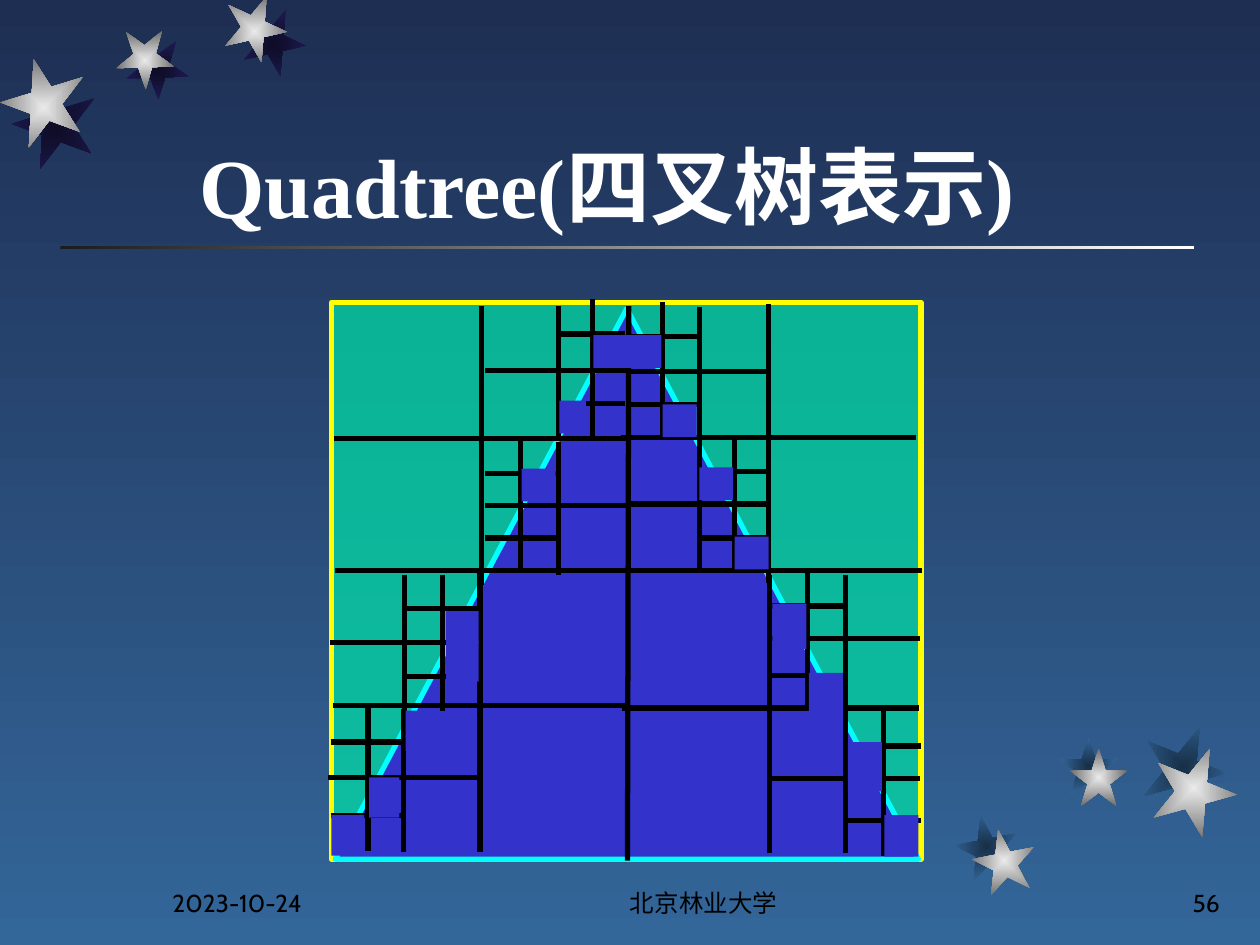
import lxml.etree
import pptx
import pptx.dml.color
import pptx.enum.shapes
import pptx.enum.text
import pptx.oxml.ns
import pptx.util

RGBColor = pptx.dml.color.RGBColor
Shape = pptx.enum.shapes.MSO_SHAPE
Align = pptx.enum.text.PP_ALIGN
Anchor = pptx.enum.text.MSO_ANCHOR
qn = pptx.oxml.ns.qn

PX_PER_INCH = 100
EMU_PER_PX = 914400 // PX_PER_INCH

NIGHT = RGBColor(0x1E, 0x2E, 0x53)
SKY = RGBColor(0x33, 0x66, 0x99)
COAL = RGBColor(0x1C, 0x1C, 0x1C)
WHITE = RGBColor(0xFF, 0xFF, 0xFF)
BLACK = RGBColor(0x00, 0x00, 0x00)
GREEN = RGBColor(0x00, 0xE4, 0xA8)
YELLOW = RGBColor(0xFF, 0xFF, 0x00)
CYAN = RGBColor(0x00, 0xFF, 0xFF)
BLUE = RGBColor(0x33, 0x33, 0xCC)
SILVER = (RGBColor(0xEA, 0xEA, 0xEA), RGBColor(0x6C, 0x6C, 0x6C))
PURPLE_SHADE = (RGBColor(0x0E, 0x0C, 0x26), RGBColor(0x1E, 0x1A, 0x53))
BLUE_SHADE = (RGBColor(0x18, 0x2F, 0x47), SKY)

TOP_STARS = [
    (192, 11, 50, 50, 167.3, PURPLE_SHADE),
    (100, 33, 50, 46, 178.3, PURPLE_SHADE),
    (10, 69, 67, 67, 200.3, PURPLE_SHADE),
    (177, 0, 50, 50, 167.3, SILVER),
    (92, 25, 46, 46, 178.3, SILVER),
    (1, 52, 67, 67, 200.3, SILVER),
]
BOTTOM_STARS = [
    (0, 72, 50, 50, 349, BLUE_SHADE),
    (83, 10, 46, 46, 0, BLUE_SHADE),
    (148, 0, 67, 67, 22, BLUE_SHADE),
    (14, 83, 50, 50, 349, SILVER),
    (91, 19, 46, 46, 0, SILVER),
    (156, 17, 67, 67, 22, SILVER),
]

# left, right, y, x, top, bottom
SINGLE_SPLITS = [
    (1, 235, 320, 118, 215, 436), (231, 466, 322, 348, 216, 437),
    (2, 237, 108, 119, 3, 224), (230, 464, 107, 347, 1, 223),
    (-3, 116, 377, 57, 323, 436), (-1, 117, 270, 58, 216, 329),
    (349, 467, 267, 408, 216, 324), (349, 467, 378, 408, 324, 437),
    (237, 348, 55, 292, 4, 112), (237, 348, 160, 292, 112, 212),
    (122, 238, 54, 180, 3, 110), (122, 238, 161, 180, 111, 216),
]
# left, right, upper y, lower y, x, top, middle, bottom
DOUBLE_SPLITS = [
    (0, 58, 349, 407, 29, 320, 381, 435),
    (59, 117, 243, 297, 88, 216, 272, 324),
    (409, 468, 352, 411, 438, 324, 384, 439),
    (349, 407, 241, 296, 378, 213, 271, 324),
    (293, 346, 134, 187, 320, 108, 163, 213),
    (235, 291, 27, 81, 263, 0, 56, 108),
    (122, 178, 136, 187, 150, 110, 164, 213),
    (180, 233, 25, 80, 207, -3, 55, 108),
]
FILLED_CELLS = [
    (0, 407, 26, 32), (30, 377, 24, 32), (59, 324, 26, 32), (91, 245, 26, 26),
    (91, 269, 26, 32), (151, 132, 27, 26), (181, 78, 21, 26), (208, 26, 27, 26),
    (234, 26, 28, 26), (263, 81, 27, 26), (292, 131, 27, 26), (320, 186, 27, 26),
    (350, 239, 27, 36), (379, 294, 27, 39), (410, 349, 27, 39), (439, 407, 27, 33),
]


def px(length):
    return pptx.util.Emu(length * EMU_PER_PX)


def fill_gradient(fill, colors, angle=0):
    fill.gradient()
    fill.gradient_angle = angle
    for stop, color, position in zip(fill.gradient_stops, colors, (0, 1)):
        stop.color.rgb = color
        stop.position = position


def add_plain_shape(page, kind, box, color=None, outline=None):
    shape = page.shapes.add_shape(kind, *map(px, box))
    shape.shadow.inherit = False
    if color is not None:
        shape.fill.solid()
        shape.fill.fore_color.rgb = color
    if outline is None:
        shape.line.fill.background()
    else:
        shape.line.color.rgb = outline
        shape.line.width = pptx.util.Pt(3)
    return shape


def add_stars(page, origin, stars):
    for left, top, width, height, turn, colors in stars:
        box = (origin[0] + left, origin[1] + top, width, height)
        star = add_plain_shape(page, Shape.STAR_5_POINT, box)
        star.rotation = turn
        fill_gradient(star.fill, colors)
        linear = star._element.spPr.find(".//" + qn("a:lin"))
        radial = lxml.etree.Element(qn("a:path"), {"path": "rect"})
        lxml.etree.SubElement(radial, qn("a:fillToRect"), dict.fromkeys("ltrb", "50000"))
        linear.getparent().replace(linear, radial)


def add_span(para, text, font, size, color, bold=False):
    span = para.add_run()
    span.text = text
    span.font.name = font
    span.font.size = pptx.util.Pt(size)
    span.font.bold = bold
    span.font.color.rgb = color


def add_title(page, box):
    title = page.shapes.title
    title.left, title.top, title.width, title.height = map(px, box)
    frame = title.text_frame
    frame.auto_size = pptx.enum.text.MSO_AUTO_SIZE.NONE
    frame.vertical_anchor = Anchor.BOTTOM
    para = frame.paragraphs[0]
    para.alignment = Align.LEFT
    add_span(para, "Quadtree(四叉树表示)", "Times New Roman", 48, WHITE, True)


def add_rule(page, box):
    rule = add_plain_shape(page, Shape.RECTANGLE, box)
    fill_gradient(rule.fill, (COAL, WHITE))


def add_footer(page, box):
    left, top, width, height = box
    parts = [
        ("2023-10-24", 0, 208, Align.LEFT),
        ("北京林业大学", 273, 317, Align.CENTER),
        ("56", width - 208, 208, Align.RIGHT),
    ]
    for text, offset, part_width, alignment in parts:
        label = page.shapes.add_textbox(px(left + offset), px(top), px(part_width), px(height))
        frame = label.text_frame
        frame.word_wrap = True
        frame.vertical_anchor = Anchor.BOTTOM
        para = frame.paragraphs[0]
        para.alignment = alignment
        add_span(para, text, "Cabin", 14, BLACK)


def add_quadtree(page, box):
    left, top, width, height = box

    def line(x1, y1, x2, y2):
        connector = page.shapes.add_connector(
            pptx.enum.shapes.MSO_CONNECTOR.STRAIGHT,
            px(left + x1), px(top + y1), px(left + x2), px(top + y2))
        connector.line.color.rgb = BLACK
        connector.line.width = pptx.util.Pt(3)
        lxml.etree.SubElement(connector._element.spPr, qn("a:effectLst"))

    def split(start, end, y, x, upper, lower):
        line(start, y, end, y)
        line(x, upper, x, lower)

    area = add_plain_shape(page, Shape.RECTANGLE, box, GREEN, YELLOW)
    tint = area._element.spPr.find(qn("a:solidFill")).find(qn("a:srgbClr"))
    lxml.etree.SubElement(tint, qn("a:alpha"), {"val": "70000"})
    triangle_box = (left + 3, top + 5, width - 5, height - 5)
    add_plain_shape(page, Shape.ISOSCELES_TRIANGLE, triangle_box, BLUE, CYAN)

    line(3, 213, 469, 213)
    line(236, 3, 235, 443)
    for single in SINGLE_SPLITS:
        split(*single)
    for start, end, y1, y2, x, upper, middle, lower in DOUBLE_SPLITS:
        split(start, end, y1, x, upper, middle)
        split(start, end, y2, x, middle, lower)
    for x, y, cell_width, cell_height in FILLED_CELLS:
        cell = (left + x, top + y, cell_width, cell_height)
        add_plain_shape(page, Shape.RECTANGLE, cell, BLUE)


def main():
    deck = pptx.Presentation()
    deck.slide_width, deck.slide_height = px(1000), px(750)
    page = deck.slides.add_slide(deck.slide_layouts[5])
    fill_gradient(page.background.fill, (NIGHT, SKY), 270)
    add_rule(page, (48, 195, 900, 3))
    add_stars(page, (0, 0), TOP_STARS)
    add_stars(page, (758, 575), BOTTOM_STARS)
    add_footer(page, (127, 683, 851, 50))
    add_title(page, (148, 38, 806, 154))
    add_quadtree(page, (263, 240, 468, 442))
    deck.save("out.pptx")


if __name__ == "__main__":
    main()
